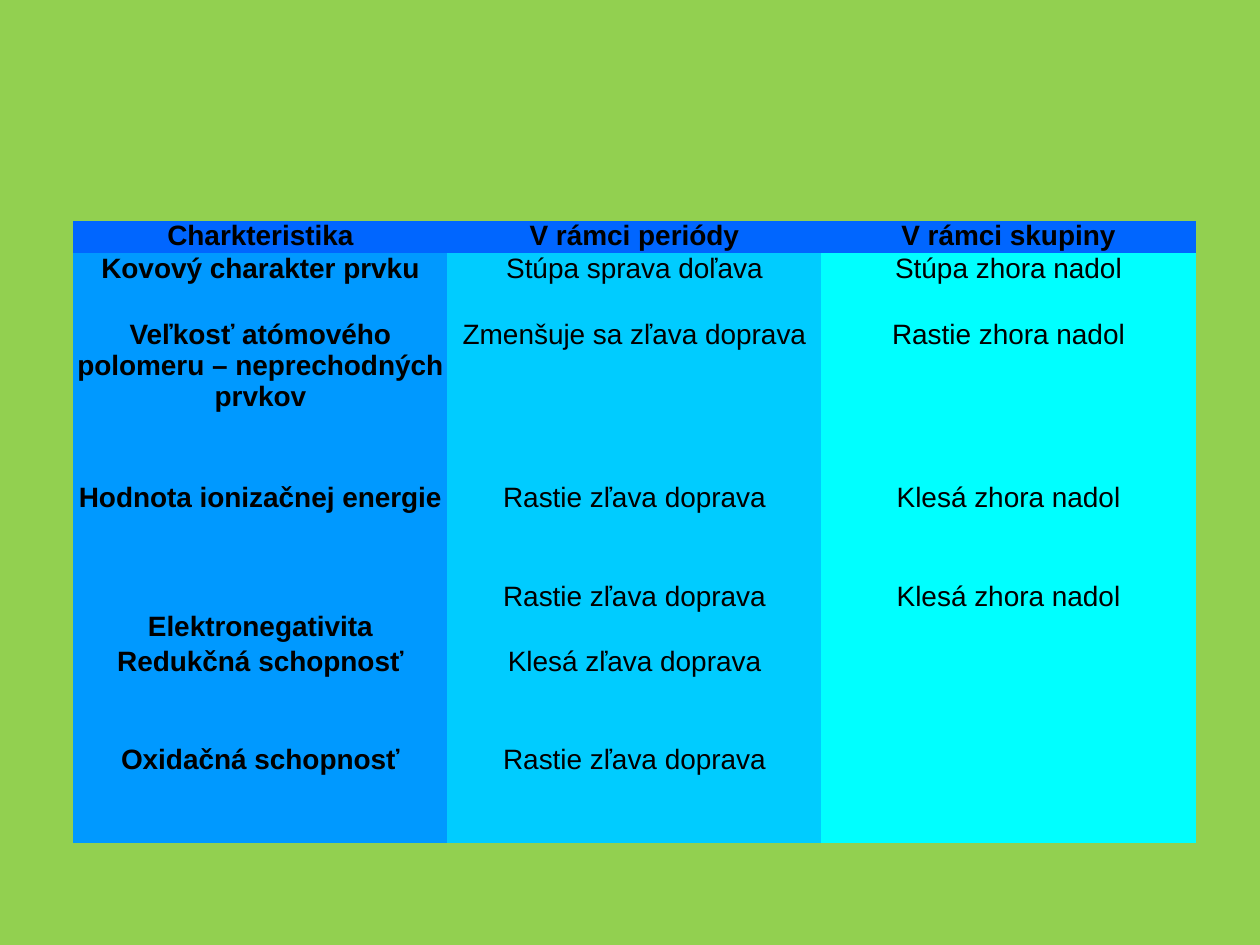
from pptx import Presentation
from pptx.dml.color import RGBColor
from pptx.enum.text import PP_ALIGN
from pptx.oxml.ns import qn
from pptx.util import Cm, Pt

CENTER = PP_ALIGN.CENTER
GREEN = RGBColor(0x92, 0xD0, 0x50)
BLACK = RGBColor(0, 0, 0)
HEAD = RGBColor(0x00, 0x66, 0xFF)
BODY = (
    RGBColor(0x00, 0x99, 0xFF),
    RGBColor(0x00, 0xCC, 0xFF),
    RGBColor(0x00, 0xFF, 0xFF),
)
PLAIN_STYLE = "{2D5ABB26-0587-4C30-8999-92F81FD0307C}"  # no style, no grid

LINE = 0.66  # height of one text line, in cm
COL = 7.54
# Each row: height in lines, then its cells
ROWS = (
    (1, "Charkteristika", "V rámci periódy", "V rámci skupiny"),
    (2, "Kovový charakter prvku", "Stúpa sprava doľava", "Stúpa zhora nadol"),
    (5, "Veľkosť atómového polomeru – neprechodných prvkov",
     "Zmenšuje sa zľava doprava", "Rastie zhora nadol"),
    (3, "Hodnota ionizačnej energie", "Rastie zľava doprava", "Klesá zhora nadol"),
    (2, "Elektronegativita", "Rastie zľava doprava", "Klesá zhora nadol"),
    (3, "Redukčná schopnosť", "Klesá zľava doprava", ""),
    (3, "Oxidačná schopnosť", "Rastie zľava doprava", ""),
)
LOWERED = "Elektronegativita"  # sits on the second line of its cell


def fill_cell(cell, text, color, bold):
    cell.fill.solid()
    cell.fill.fore_color.rgb = color
    cell.margin_left = cell.margin_right = cell.margin_bottom = 0
    cell.margin_top = Cm(0.62) if text == LOWERED else 0
    cell.text = text
    para = cell.text_frame.paragraphs[0]
    para.alignment = CENTER
    font = para.font
    font.name = "Arial"
    font.size = Pt(16)
    font.bold = bold
    font.color.rgb = BLACK


def add_trends(slide):
    """Add the table of trends in the periodic table."""
    lines = sum(row[0] for row in ROWS)
    frame = slide.shapes.add_table(
        len(ROWS), len(BODY), Cm(1.48), Cm(4.45),
        Cm(COL * len(BODY)), Cm(LINE * lines))
    table = frame.table
    style = frame._element.find(".//" + qn("a:tableStyleId"))
    style.text = PLAIN_STYLE
    table.horz_banding = False
    for col in table.columns:
        col.width = Cm(COL)
    for r, (height, *texts) in enumerate(ROWS):
        table.rows[r].height = Cm(LINE * height)
        for c, text in enumerate(texts):
            color = BODY[c] if r else HEAD
            fill_cell(table.cell(r, c), text, color, r == 0 or c == 0)


def main():
    deck = Presentation()
    deck.slide_width = Cm(25.4)
    deck.slide_height = Cm(19.05)
    slide = deck.slides.add_slide(deck.slide_layouts[6])
    back = slide.background.fill
    back.solid()
    back.fore_color.rgb = GREEN
    add_trends(slide)
    deck.save("out.pptx")


if __name__ == "__main__":
    main()
